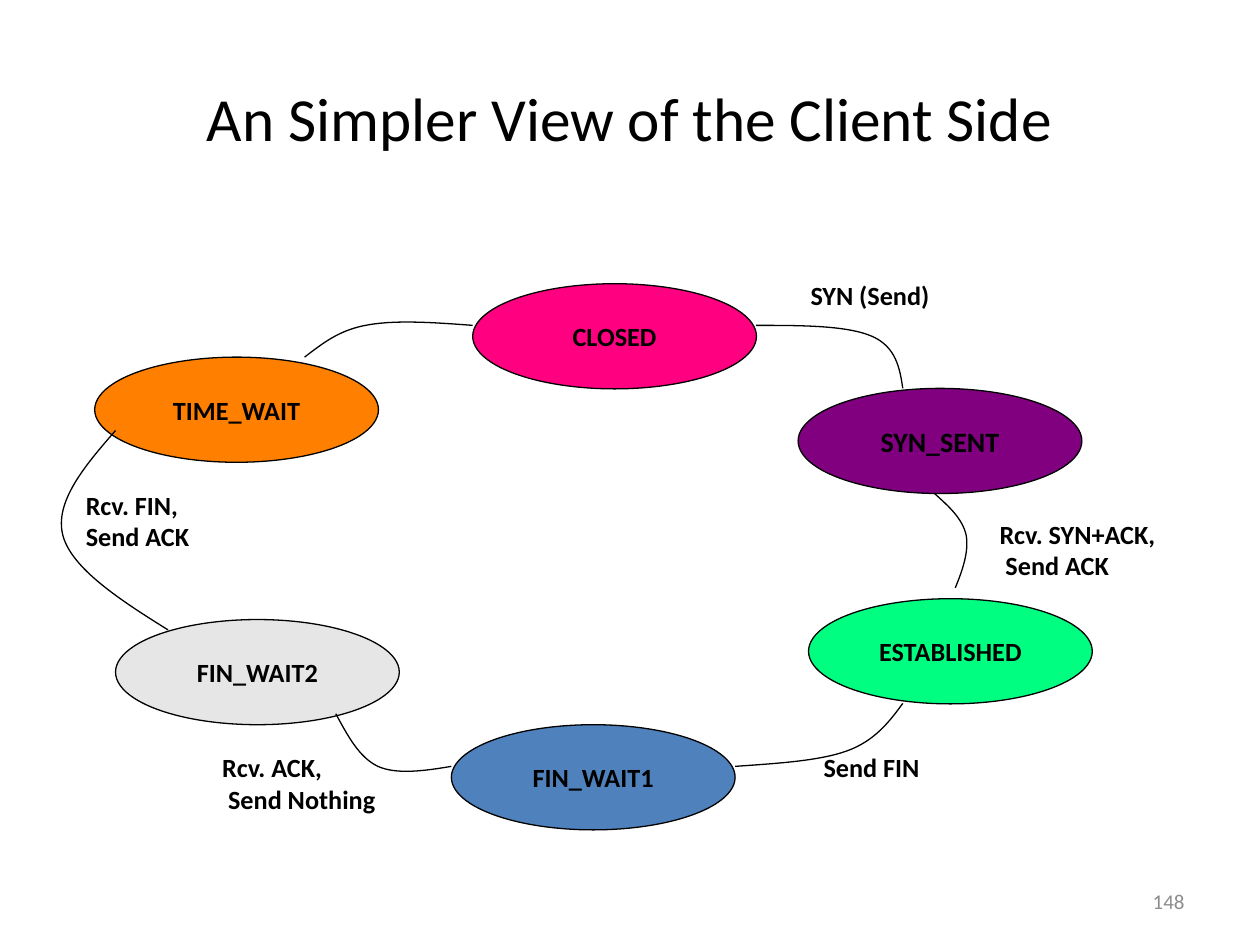
from lxml.etree import SubElement
from pptx import Presentation
from pptx.dml.color import RGBColor
from pptx.enum.shapes import MSO_SHAPE
from pptx.enum.text import MSO_ANCHOR, PP_ALIGN
from pptx.oxml.ns import qn
from pptx.util import Cm, Pt

FONT = "Calibri"
BLACK = "000000"
STATE_SIZE = (5.72, 2.12)

STATES = [
    ("CLOSED", 8.26, 0.64, "FF0080", 15),
    ("TIME_WAIT", 0.64, 2.12, "FF8000", 15),
    ("FIN_WAIT2", 1.06, 7.41, "E6E6E6", 15),
    ("FIN_WAIT1", 7.83, 9.53, "4F81BD", 15),
    ("ESTABLISHED", 15.03, 6.99, "00FF80", 15),
    ("SYN_SENT", 14.82, 2.75, "800080", 16),
]

TRANSITIONS = [
    [(13.97, 1.48), (14.88, 1.48), (15.8, 1.48), (16.31, 1.7),
     (16.79, 1.91), (16.87, 2.34), (16.93, 2.75)],
    [(17.57, 4.87), (17.86, 5.13), (18.14, 5.38), (18.21, 5.72),
     (18.26, 6.05), (18.14, 6.4), (17.99, 6.77)],
    [(16.93, 9.1), (16.66, 9.47), (16.36, 9.86), (15.8, 10.06),
     (15.24, 10.26), (14.4, 10.31), (13.55, 10.37)],
    [(7.83, 10.37), (7.29, 10.46), (6.73, 10.54), (6.35, 10.37),
     (5.97, 10.19), (5.74, 9.75), (5.5, 9.31)],
    [(2.12, 7.62), (1.14, 7.01), (0.18, 6.38), (0, 5.72),
     (-0.18, 5.05), (0.43, 4.32), (1.06, 3.6)],
    [(4.87, 2.12), (5.23, 1.85), (5.56, 1.57), (6.15, 1.47),
     (6.71, 1.37), (7.47, 1.42), (8.26, 1.48)],
]

LABELS = [
    (["SYN (Send)"], 14.82, 0.42, 4.02, PP_ALIGN.LEFT),
    (["Rcv. SYN+ACK,", " Send ACK"], 18.63, 5.24, 4.65, PP_ALIGN.LEFT),
    (["Send FIN"], 13.34, 9.95, 5.92, PP_ALIGN.CENTER),
    (["Rcv. ACK,", " Send Nothing"], 2.96, 9.95, 6.35, PP_ALIGN.LEFT),
    (["Rcv. FIN,", "Send ACK"], 0.21, 4.65, 5.28, PP_ALIGN.LEFT),
]


def color(value):
    return RGBColor.from_string(value)


def write(frame, lines, size, align, bold=False, ink=BLACK):
    para = frame.paragraphs[0]
    para.alignment = align
    for index, line in enumerate(lines):
        if index:
            para.add_line_break()
        span = para.add_run()
        span.text = line
        span.font.name = FONT
        span.font.size = Pt(size)
        span.font.bold = bold
        span.font.color.rgb = color(ink)


def outline(shape):
    shape.shadow.inherit = False
    shape.line.color.rgb = color(BLACK)
    shape.line.width = Pt(0.75)


def add_text(page, box, lines, size, align, anchor=MSO_ANCHOR.TOP, **style):
    frame = page.shapes.add_textbox(*map(Cm, box)).text_frame
    frame.word_wrap = True
    frame.vertical_anchor = anchor
    write(frame, lines, size, align, **style)


def add_state(page, box, name, fill, size):
    state = page.shapes.add_shape(MSO_SHAPE.OVAL, *map(Cm, box))
    outline(state)
    state.fill.solid()
    state.fill.fore_color.rgb = color(fill)
    frame = state.text_frame
    frame.word_wrap = False
    frame.vertical_anchor = MSO_ANCHOR.MIDDLE
    write(frame, [name], size, PP_ALIGN.CENTER, bold=True)


def bend(curve):
    segments = list(curve.element.iter(qn("a:lnTo")))
    route = segments[0].getparent()
    for start in range(0, len(segments), 3):
        bezier = SubElement(route, qn("a:cubicBezTo"))
        for segment in segments[start:start + 3]:
            bezier.append(segment[0])
            route.remove(segment)


def add_transition(page, left, top, controls):
    first, *others = [(Cm(left + x), Cm(top + y)) for x, y in controls]
    builder = page.shapes.build_freeform(*first)
    builder.add_line_segments(others, close=False)
    curve = builder.convert_to_shape()
    bend(curve)
    outline(curve)
    curve.fill.background()


def add_diagram(page, left, top):
    for name, x, y, fill, size in STATES:
        add_state(page, (left + x, top + y, *STATE_SIZE), name, fill, size)
    for controls in TRANSITIONS:
        add_transition(page, left, top, controls)
    for lines, x, y, width, align in LABELS:
        height = 0.22 + 0.66 * len(lines)
        add_text(page, (left + x, top + y, width, height), lines, 15, align, bold=True)


def add_title(page, box):
    add_text(page, box, ["An Simpler View of the Client Side"], 35,
             PP_ALIGN.CENTER, MSO_ANCHOR.MIDDLE)


def add_page_number(page, box):
    add_text(page, box, ["148"], 12, PP_ALIGN.RIGHT, MSO_ANCHOR.MIDDLE, ink="8C8C8C")


def main():
    deck = Presentation()
    deck.slide_width = Cm(25.4)
    deck.slide_height = Cm(19.05)
    page = deck.slides.add_slide(deck.slide_layouts[6])
    add_title(page, (1.27, 0.76, 22.86, 3.18))
    add_diagram(page, 1.27, 5.08)
    add_page_number(page, (18.2, 17.66, 5.93, 1.01))
    deck.save("out.pptx")


if __name__ == "__main__":
    main()
